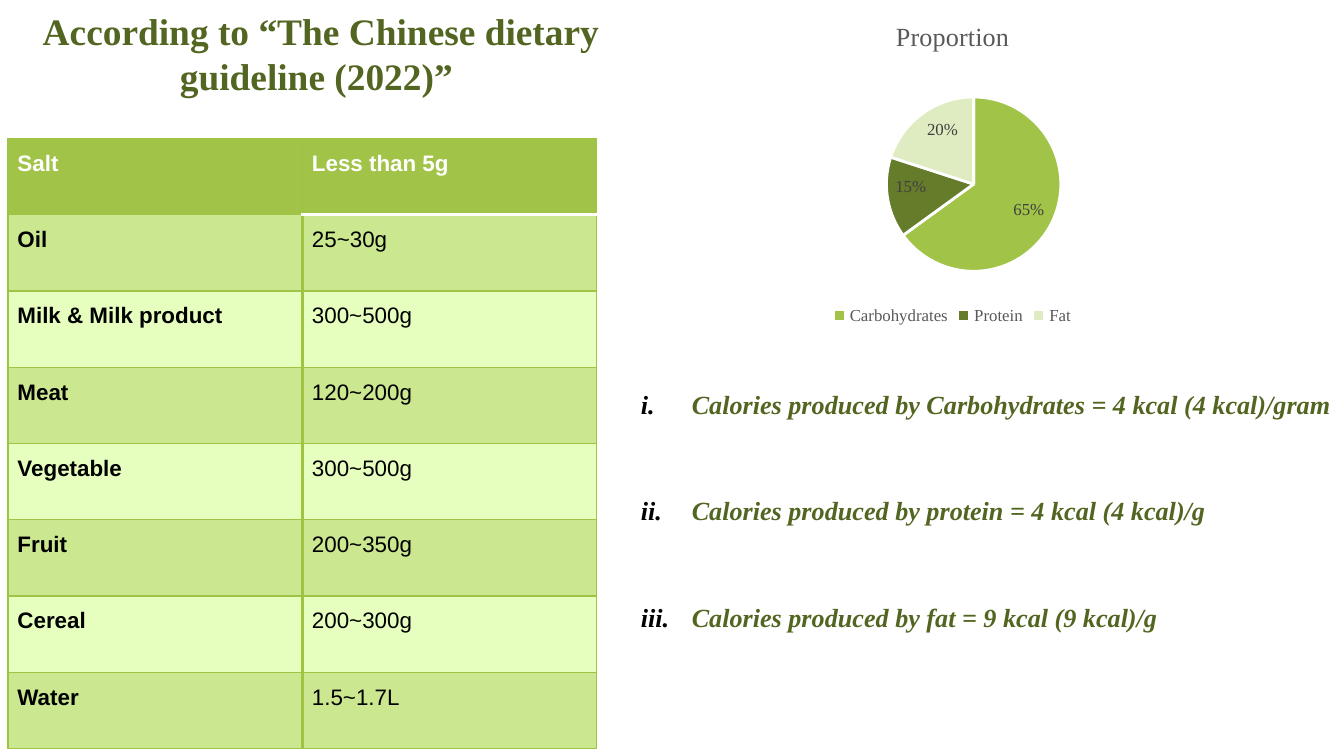
import pptx
import pptx.chart.data
import pptx.dml.color
import pptx.enum.chart
import pptx.enum.text
import pptx.oxml
import pptx.oxml.ns
import pptx.util
from pptx.util import Cm

COLORS = {
    "green": "A1C448",
    "border": "9FC343",
    "band_dark": "CBE790",
    "band_light": "E6FFBF",
    "olive": "526521",
    "protein": "657C2B",
    "fat": "DFEBC0",
    "gray": "595959",
    "label": "404040",
    "white": "FFFFFF",
    "black": "000000",
}
SERIF = "Times New Roman"
SANS = "Arial"

INTAKES = [
    ("Salt", "Less than 5g"),
    ("Oil", "25~30g"),
    ("Milk & Milk product", "300~500g"),
    ("Meat", "120~200g"),
    ("Vegetable", "300~500g"),
    ("Fruit", "200~350g"),
    ("Cereal", "200~300g"),
    ("Water", "1.5~1.7L"),
]
PROPORTIONS = {
    "Carbohydrates": (0.65, "green"),
    "Protein": (0.15, "protein"),
    "Fat": (0.2, "fat"),
}
CALORIES = [
    "Calories produced by Carbohydrates = 4 kcal (4 kcal)/gram",
    "Calories produced by protein = 4 kcal (4 kcal)/g",
    "Calories produced by fat = 9 kcal (9 kcal)/g",
]


def rgb(name):
    return pptx.dml.color.RGBColor.from_string(COLORS[name])


def apply_format(target, values):
    for name, value in values.items():
        setattr(target, name, value)


def format_font(font, size, color, name=SERIF, **values):
    apply_format(font, {"size": pptx.util.Pt(size), "name": name, **values})
    font.color.rgb = rgb(color)


def xml(text):
    declaration = pptx.oxml.ns.nsdecls("a", "c")
    head, tail = text.split(">", 1)
    if head.endswith("/"):
        return pptx.oxml.parse_xml(f"{head[:-1]} {declaration}/>{tail}")
    return pptx.oxml.parse_xml(f"{head} {declaration}>{tail}")


def place(shape, box):
    apply_format(shape, dict(zip(("left", "top", "width", "height"), box)))


def prepare_text(shape):
    apply_format(shape.text_frame, {
        "word_wrap": True,
        "auto_size": pptx.enum.text.MSO_AUTO_SIZE.SHAPE_TO_FIT_TEXT,
        "vertical_anchor": pptx.enum.text.MSO_ANCHOR.TOP,
    })


def add_title(slide, box):
    title = slide.shapes.title
    place(title, box)
    prepare_text(title)
    paragraph = title.text_frame.paragraphs[0]
    paragraph.alignment = pptx.enum.text.PP_ALIGN.CENTER
    run = paragraph.add_run()
    run.text = "According to “The Chinese dietary guideline (2022)” "
    format_font(run.font, 20, "olive", bold=True)


def set_borders(cell, borders):
    properties = cell._tc.get_or_add_tcPr()
    for index, (side, (color, width)) in enumerate(borders.items()):
        properties.insert(index, xml(
            f'<a:ln{side} w="{pptx.util.Pt(width)}"><a:solidFill>'
            f'<a:srgbClr val="{COLORS[color]}"/></a:solidFill></a:ln{side}>'))


def add_intake_table(slide, box):
    left, top, width, height = box
    table = slide.shapes.add_table(len(INTAKES), 2, *box).table
    for column in table.columns:
        column.width = width // 2
    for row in table.rows:
        row.height = height // len(INTAKES)

    thin, thick, rule = ("border", 0.75), ("border", 2), ("white", 2)
    for row_index, texts in enumerate(INTAKES):
        header = row_index == 0
        band = "band_dark" if row_index % 2 else "band_light"
        for column_index, text in enumerate(texts):
            first = column_index == 0
            cell = table.cell(row_index, column_index)
            apply_format(cell, {
                "margin_left": Cm(0.18), "margin_right": Cm(0.18),
                "margin_top": 0, "margin_bottom": 0,
            })
            cell.fill.solid()
            cell.fill.fore_color.rgb = rgb("green" if header else band)
            set_borders(cell, {
                "L": thin if first else thick,
                "R": thick if first else thin,
                "T": rule if row_index == 1 and not first else thin,
                "B": rule if header and not first else thin,
            })
            paragraph = cell.text_frame.paragraphs[0]
            apply_format(paragraph, {
                "alignment": pptx.enum.text.PP_ALIGN.JUSTIFY, "line_spacing": 1.5})
            run = paragraph.add_run()
            run.text = text
            format_font(run.font, 12, "white" if header else "black", SANS,
                        bold=header or first)


def add_proportion_chart(slide, box):
    data = pptx.chart.data.CategoryChartData(number_format="0%")
    data.categories = list(PROPORTIONS)
    data.add_series("Proportion", [value for value, color in PROPORTIONS.values()])
    chart = slide.shapes.add_chart(
        pptx.enum.chart.XL_CHART_TYPE.PIE, *box, data).chart
    format_font(chart.font, 10, "black")

    # Chart title and legend
    chart.has_title = True
    run = chart.chart_title.text_frame.paragraphs[0].add_run()
    run.text = "Proportion"
    format_font(run.font, 14, "gray", bold=False)
    chart.chart_title.include_in_layout = False
    chart.has_legend = True
    apply_format(chart.legend, {
        "position": pptx.enum.chart.XL_LEGEND_POSITION.BOTTOM,
        "include_in_layout": False,
    })
    format_font(chart.legend.font, 9, "gray")

    # Slices and their labels
    plot = chart.plots[0]
    plot.vary_by_categories = True
    for index, (value, color) in enumerate(PROPORTIONS.values()):
        point = plot.series[0].points[index]
        point.format.fill.solid()
        point.format.fill.fore_color.rgb = rgb(color)
        point.format.line.color.rgb = rgb("white")
        point.format.line.width = pptx.util.Pt(1.5)
    plot.has_data_labels = True
    apply_format(plot.data_labels, {
        "show_value": True, "show_percentage": False,
        "number_format": "0%", "number_format_is_linked": False,
        "position": pptx.enum.chart.XL_LABEL_POSITION.INSIDE_END,
    })
    format_font(plot.data_labels.font, 9, "label")

    # Pie position as fractions of the chart area
    area = chart._chartSpace.chart.plotArea
    for layout in area.findall(pptx.oxml.ns.qn("c:layout")):
        area.remove(layout)
    fractions = {"x": 0.42, "y": 0.29, "w": 0.21, "h": 0.53}
    area.insert(0, xml(
        '<c:layout><c:manualLayout><c:layoutTarget val="inner"/>'
        '<c:xMode val="edge"/><c:yMode val="edge"/>'
        + "".join(f'<c:{key} val="{value}"/>' for key, value in fractions.items())
        + "</c:manualLayout></c:layout>"))


def add_calorie_list(slide, box):
    body = slide.placeholders[1]
    place(body, box)
    prepare_text(body)
    frame = body.text_frame
    for index, text in enumerate(CALORIES):
        paragraph = frame.add_paragraph() if index else frame.paragraphs[0]
        apply_format(paragraph, {
            "alignment": pptx.enum.text.PP_ALIGN.JUSTIFY,
            "line_spacing": 1.5,
            "space_before": pptx.util.Pt(32 if index else 0),
            "space_after": pptx.util.Pt(0),
        })
        properties = paragraph._p.get_or_add_pPr()
        properties.set("marL", str(Cm(0.96)))
        properties.set("indent", str(-Cm(0.96)))
        for bullet in (
            f'<a:buClr><a:srgbClr val="{COLORS["black"]}"/></a:buClr>',
            f'<a:buFont typeface="{SERIF}"/>',
            '<a:buAutoNum type="romanLcPeriod"/>',
        ):
            properties.append(xml(bullet))
        run = paragraph.add_run()
        run.text = text
        format_font(run.font, 14, "olive", bold=True, italic=True)


def main():
    presentation = pptx.Presentation()
    presentation.slide_width = Cm(25.4)
    presentation.slide_height = Cm(14.29)
    slide = presentation.slides.add_slide(presentation.slide_layouts[1])
    add_title(slide, (Cm(-0.56), Cm(0.03), Cm(13.26), Cm(1.96)))
    add_intake_table(slide, (Cm(0.15), Cm(2.62), Cm(11.13), Cm(11.53)))
    add_proportion_chart(slide, (Cm(10.08), Cm(0.03), Cm(15.85), Cm(6.22)))
    add_calorie_list(slide, (Cm(11.86), Cm(6.91), Cm(14.07), Cm(5.05)))
    presentation.save("out.pptx")


if __name__ == "__main__":
    main()
